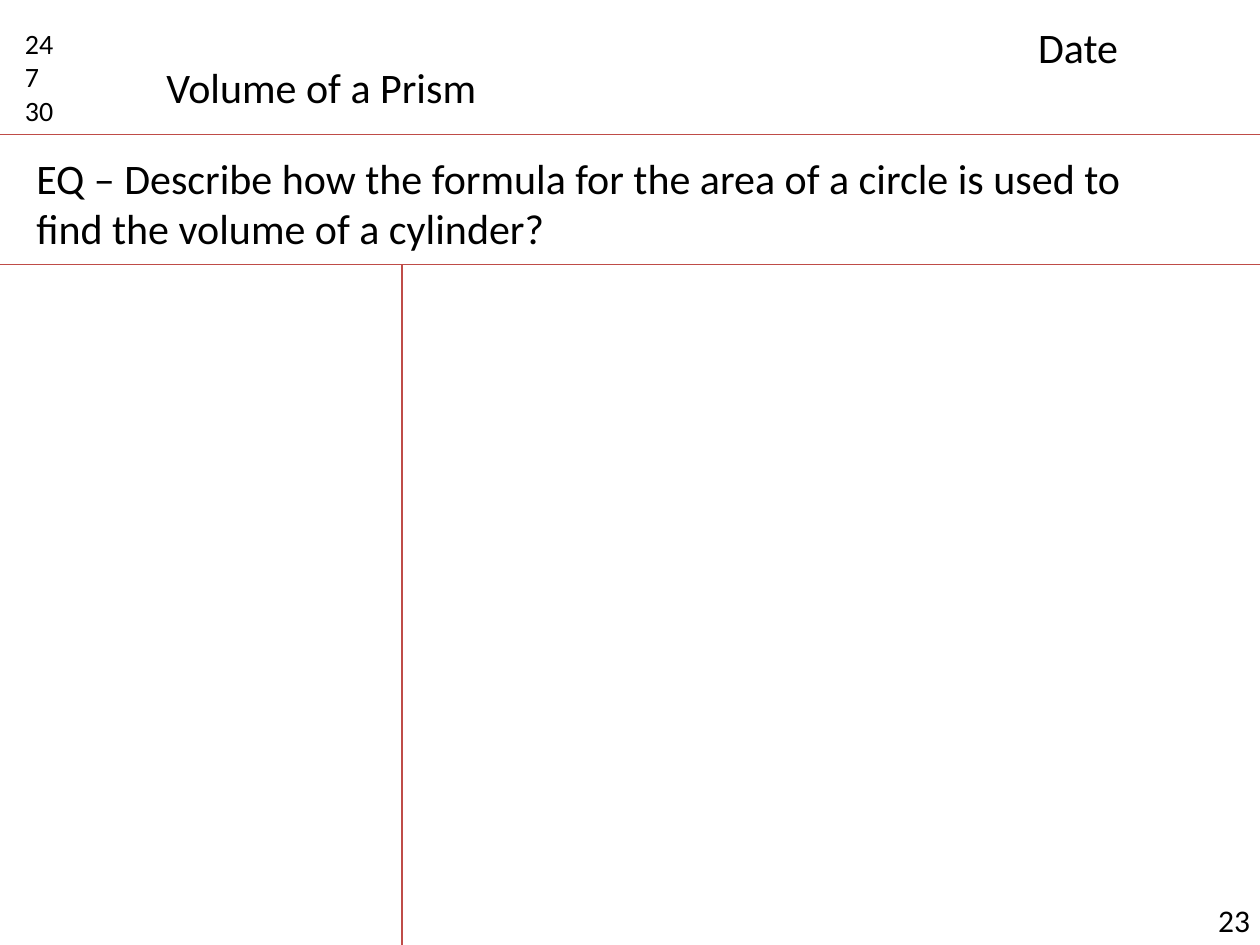
from lxml import etree
from pptx import Presentation
from pptx.dml.color import RGBColor
from pptx.enum import shapes, text
from pptx.oxml import ns
from pptx.util import Inches, Pt

BLACK = RGBColor(0x00, 0x00, 0x00)
RED = RGBColor(0xBF, 0x4C, 0x48)
WIDTH, HEIGHT = 10, 7.5
HEADER_Y, QUESTION_Y, MARGIN_X = 1.07, 2.1, 3.19

# text, (left, top, width, height), size, wrap
TITLE = ("Volume of a Prism", (1.22, 0.44, 2.76, 0.5), 24, False)
NOTES = [
    ("24\n7\n30", (0.1, 0.16, 0.63, 0.91), 16, True),
    ("Date", (8.14, 0.12, 1.73, 0.5), 24, True),
    ("EQ – Describe how the formula for the area of a circle is used to "
     "find the volume of a cylinder?", (0.19, 1.16, 9.28, 0.91), 24, True),
    ("23", (9.57, 7.1, 0.6, 0.4), 18, True),
]
RULES = [
    (0, HEADER_Y, WIDTH, HEADER_Y),
    (0, QUESTION_Y, WIDTH, QUESTION_Y),
    (MARGIN_X, QUESTION_Y, MARGIN_X, HEIGHT),
]


def write(box, words, place, size, wrap):
    box.left, box.top, box.width, box.height = map(Inches, place)
    frame = box.text_frame
    frame.text = words
    frame.word_wrap = wrap
    frame.auto_size = text.MSO_AUTO_SIZE.SHAPE_TO_FIT_TEXT
    frame.vertical_anchor = text.MSO_ANCHOR.TOP
    for para in frame.paragraphs:
        para.alignment = text.PP_ALIGN.LEFT
        para.font.color.rgb = BLACK
        for name, value in {"name": "Calibri", "size": Pt(size)}.items():
            setattr(para.font, name, value)


def draw_rule(page, ends):
    rule = page.shapes.add_connector(
        shapes.MSO_CONNECTOR.STRAIGHT, *map(Inches, ends))
    rule.line.color.rgb = RED
    rule.line.width = Pt(0.75)
    etree.SubElement(rule._element.spPr, ns.qn("a:effectLst"))


def main():
    deck = Presentation()
    deck.slide_width, deck.slide_height = Inches(WIDTH), Inches(HEIGHT)
    page = deck.slides.add_slide(deck.slide_layouts.get_by_name("Title Only"))
    write(page.shapes.title, *TITLE)
    for ends in RULES:
        draw_rule(page, ends)
    for words, place, size, wrap in NOTES:
        box = page.shapes.add_textbox(*map(Inches, place))
        write(box, words, place, size, wrap)
    deck.save("out.pptx")


if __name__ == "__main__":
    main()
